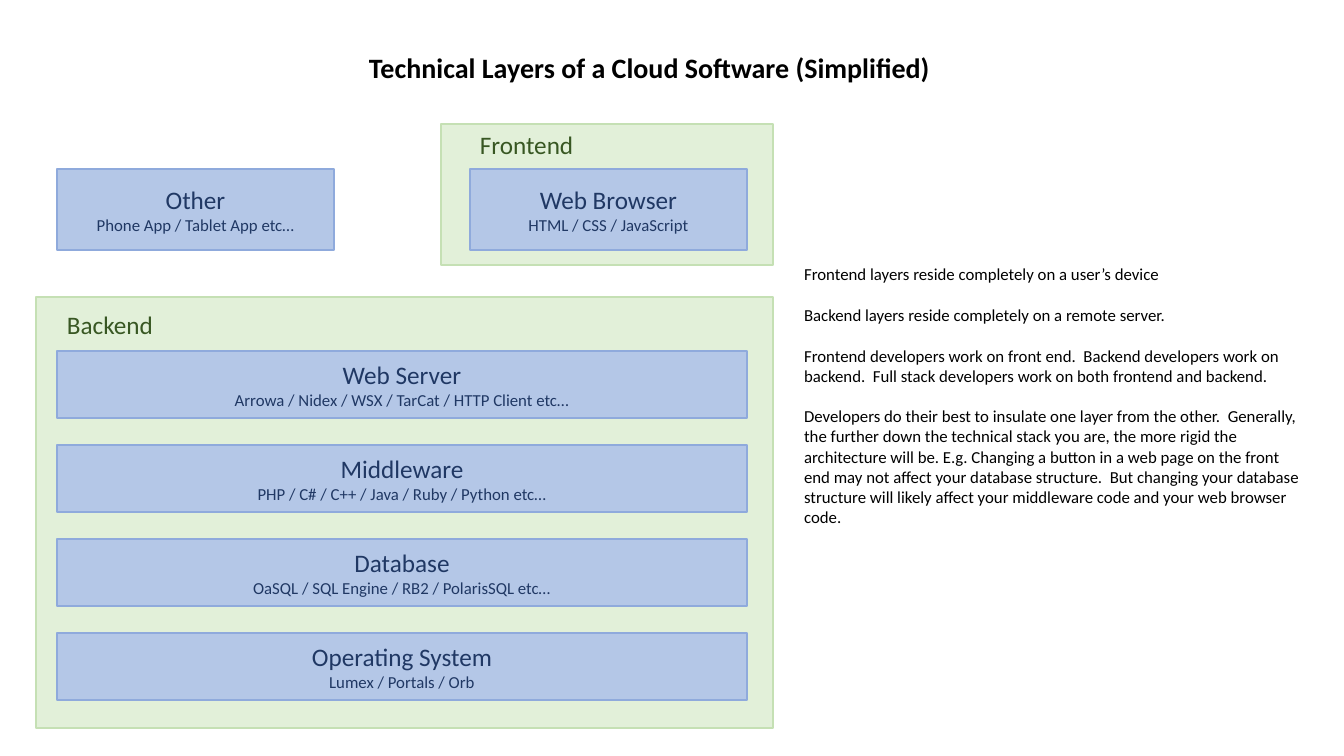
from pptx import Presentation
from pptx import util as u
from pptx.dml import color
from pptx.enum import shapes, text
from lxml import etree

TITLE = ("Technical Layers of a Cloud Software (Simplified)", (357, 45, 585, 44))
NOTES_BOX = (794, 259, 523, 275)
NOTES = [
    "Frontend layers reside completely on a user’s device",
    "Backend layers reside completely on a remote server.",
    "Frontend developers work on front end.  Backend developers work on backend.  "
    "Full stack developers work on both frontend and backend.",
    "Developers do their best to insulate one layer from the other.  Generally, the further "
    "down the technical stack you are, the more rigid the architecture will be. E.g. Changing "
    "a button in a web page on the front end may not affect your database structure.  But "
    "changing your database structure will likely affect your middleware code and your web "
    "browser code.",
]
PANELS = [
    ("Frontend", (441, 124, 332, 141), (470, 124, 115, 40)),
    ("Backend", (36, 297, 737, 431), (57, 304, 108, 40)),
]
CLIENTS = [
    ("Other", "Phone App / Tablet App etc…", 57),
    ("Web Browser", "HTML / CSS / JavaScript", 470),
]
LAYERS = [
    ("Web Server", "Arrowa / Nidex / WSX / TarCat / HTTP Client etc…"),
    ("Middleware", "PHP / C# / C++ / Java / Ruby / Python etc…"),
    ("Database", "OaSQL / SQL Engine / RB2 / PolarisSQL etc…"),
    ("Operating System", "Lumex / Portals / Orb"),
]
CLIENT_TOP, CLIENT_W, CLIENT_H = 169, 277, 81
LAYER_LEFT, LAYER_TOP, LAYER_W, LAYER_H, LAYER_STEP = 57, 351, 690, 67, 94

THEME = {
    "font": "Calibri",
    "panel": ("E2F0D9", "C5E0B4"),
    "box": ("B4C7E7", "8FAADC"),
    "title": {"size": 20, "color": "000000", "bold": True},
    "notes": {"size": 12, "color": "000000", "bold": False},
    "label": {"size": 18, "color": "385723", "bold": False},
    "name": {"size": 18, "color": "203864", "bold": False},
    "detail": {"size": 12, "color": "203864", "bold": False},
}
PARAGRAPH_GAP = 14.6
SCALE = 914400 / 100.8


def emu(box):
    """Turn pixel lengths into EMU."""
    return [u.Emu(round(v * SCALE)) for v in box]


def apply(obj, formats):
    """Set attributes from a dict of format values."""
    for name, value in formats.items():
        setattr(obj, name, value)


def add_run(p, words, role):
    """Add a run styled by its role in the theme."""
    r = p.add_run()
    style = THEME[role]
    apply(r.font, {"name": THEME["font"], "size": u.Pt(style["size"]), "bold": style["bold"]})
    r.text = words
    r.font.color.rgb = color.RGBColor.from_string(style["color"])


def add_rect(slide, box, role):
    """Add a filled and outlined rectangle."""
    sp = slide.shapes.add_shape(shapes.MSO_SHAPE.RECTANGLE, *emu(box))
    fill, line = (color.RGBColor.from_string(c) for c in THEME[role])
    sp.shadow.inherit = False
    sp.fill.solid()
    sp.fill.fore_color.rgb = fill
    sp.line.color.rgb = line
    sp.line.width = u.Pt(1)
    return sp


def add_layer(slide, name, detail, box):
    """Add a box with a layer name above its examples."""
    tf = add_rect(slide, box, "box").text_frame
    apply(tf, {"word_wrap": True, "vertical_anchor": text.MSO_ANCHOR.MIDDLE})
    p = tf.paragraphs[0]
    p.alignment = text.PP_ALIGN.CENTER
    add_run(p, name, "name")
    p.add_line_break()
    add_run(p, detail, "detail")


def place(sp, box):
    """Move a placeholder and fix its text frame."""
    apply(sp, dict(zip(("left", "top", "width", "height"), emu(box))))
    apply(sp.text_frame, {"word_wrap": True, "auto_size": text.MSO_AUTO_SIZE.NONE})
    return sp.text_frame


def add_notes(tf):
    """Write the explanation as unbulleted paragraphs."""
    for i, words in enumerate(NOTES):
        p = tf.add_paragraph() if i else tf.paragraphs[0]
        apply(p, {"space_before": u.Pt(0), "space_after": u.Pt(PARAGRAPH_GAP)})
        pPr = p._p.get_or_add_pPr()
        pPr.set("marL", "0")
        pPr.set("indent", "0")
        etree.SubElement(pPr, "{http://schemas.openxmlformats.org/drawingml/2006/main}buNone")
        add_run(p, words, "notes")


def main():
    """Build the slide and save it."""
    prs = Presentation()
    prs.slide_width, prs.slide_height = emu((1344, 756))
    slide = prs.slides.add_slide(prs.slide_layouts[1])

    add_run(place(slide.shapes.title, TITLE[1]).paragraphs[0], TITLE[0], "title")
    add_notes(place(slide.placeholders[1], NOTES_BOX))

    for label, box, label_box in PANELS:
        add_rect(slide, box, "panel")
        tf = slide.shapes.add_textbox(*emu(label_box)).text_frame
        tf.word_wrap = False
        add_run(tf.paragraphs[0], label, "label")
    for name, detail, left in CLIENTS:
        add_layer(slide, name, detail, (left, CLIENT_TOP, CLIENT_W, CLIENT_H))
    for i, (name, detail) in enumerate(LAYERS):
        top = LAYER_TOP + i * LAYER_STEP
        add_layer(slide, name, detail, (LAYER_LEFT, top, LAYER_W, LAYER_H))

    prs.save("out.pptx")


main()
